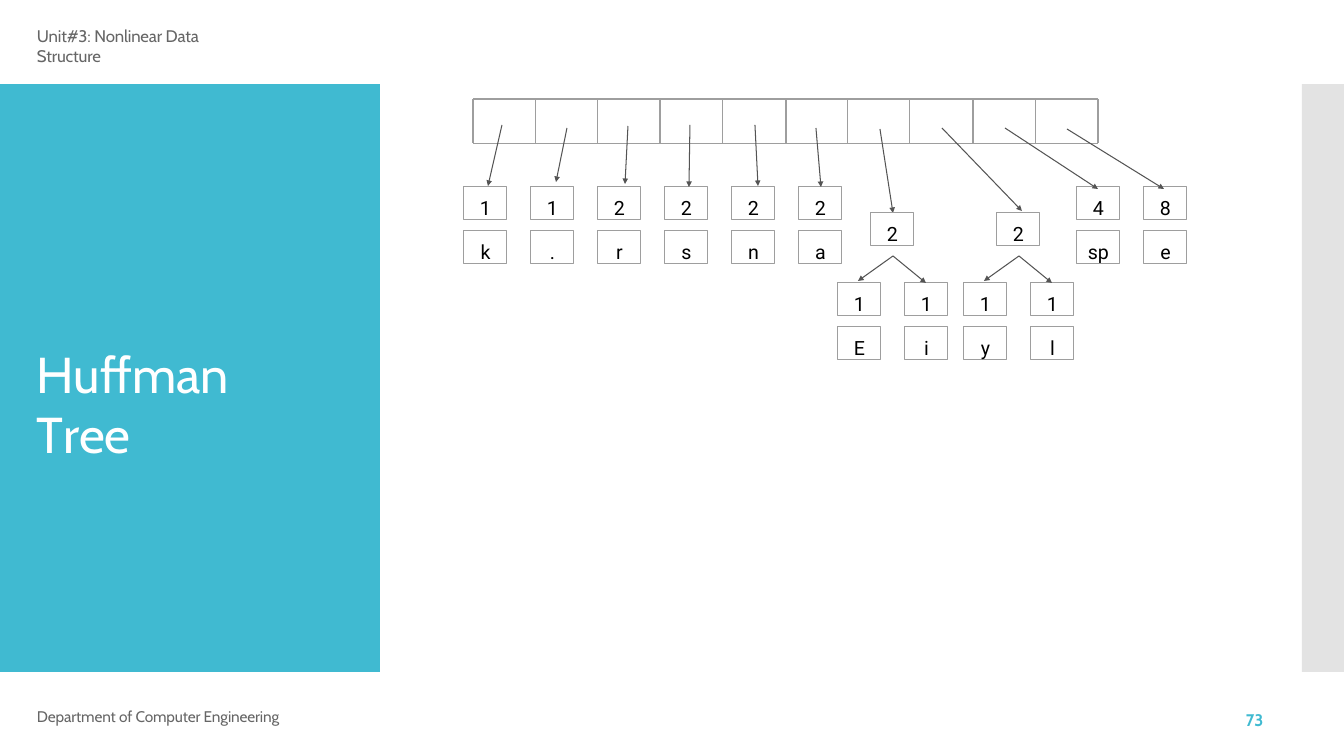
"""Build the Huffman tree slide: an array of cells pointing at character nodes."""
from dataclasses import dataclass

import lxml.etree
import pptx
import pptx.dml.color
import pptx.enum.shapes
import pptx.enum.text
import pptx.oxml
import pptx.oxml.ns
import pptx.util

EMU_PER_PX = 914400 / 100.8


@dataclass(frozen=True)
class Theme:
    teal: str = "40BAD1"
    strip: str = "C8C8C8"
    white: str = "FFFFFF"
    black: str = "000000"
    muted: str = "666666"
    outline: str = "9E9E9E"
    arrow: str = "545454"
    heading_font: str = "Cabin"
    node_font: str = "Roboto"
    title_size: int = 36
    node_size: int = 14
    header_size: int = 12
    footer_size: int = 11
    line_width: float = 0.75


@dataclass(frozen=True)
class Area:
    left: int
    top: int
    width: int
    height: int


@dataclass(frozen=True)
class Leaf:
    left: int
    top: int
    count: str
    letter: str


@dataclass(frozen=True)
class Subtree:
    left: int
    letters: str


@dataclass(frozen=True)
class Arrow:
    start: tuple[int, int]
    end: tuple[int, int]


THEME = Theme()
NODE_WIDTH, NODE_HEIGHT, LETTER_DROP = 43, 33, 44
LEAF_TOP, PARENT_TOP, CHILD_TOP = 187, 213, 283
CELL_COUNT = 10
ARRAY = Area(473, 99, 625, 44)

LEAVES = [
    Leaf(464 + 67 * index, LEAF_TOP, count, letter)
    for index, (count, letter) in enumerate(zip("112222", "k.rsna"))
] + [Leaf(1077, LEAF_TOP, "4", "sp"), Leaf(1144, LEAF_TOP, "8", "e")]
SUBTREES = [Subtree(871, "Ei"), Subtree(997, "yl")]
ARRAY_ARROWS = [
    Arrow((502, 125), (488, 186)),
    Arrow((567, 128), (556, 182)),
    Arrow((628, 126), (625, 184)),
    Arrow((690, 125), (689, 187)),
    Arrow((755, 125), (758, 186)),
    Arrow((816, 128), (821, 187)),
    Arrow((880, 129), (893, 213)),
    Arrow((942, 128), (1022, 211)),
    Arrow((1005, 128), (1098, 189)),
    Arrow((1067, 129), (1164, 189)),
]


def px(length: float) -> pptx.util.Emu:
    return pptx.util.Emu(round(length * EMU_PER_PX))


def rgb(color: str) -> pptx.dml.color.RGBColor:
    return pptx.dml.color.RGBColor.from_string(color)


def placed(area: Area) -> tuple:
    return px(area.left), px(area.top), px(area.width), px(area.height)


def write_text(box, text: str | list[tuple[str, float]], *, font: str, size: int,
               color: str, bold: bool = False, tracking: float = 0, inset: int = 0,
               line_points: float | None = None, centered: bool = False) -> None:
    frame = box.text_frame
    frame.word_wrap = True
    frame.vertical_anchor = pptx.enum.text.MSO_ANCHOR.TOP
    frame.margin_left = frame.margin_right = frame.margin_bottom = 0
    frame.margin_top = px(inset)
    para = frame.paragraphs[0]
    align = pptx.enum.text.PP_ALIGN
    para.alignment = align.CENTER if centered else align.LEFT
    if line_points:
        para.line_spacing = pptx.util.Pt(line_points)
    for words, spacing in [(text, tracking)] if isinstance(text, str) else text:
        span = para.add_run()
        span.text = words
        span.font.name = font
        span.font.size = pptx.util.Pt(size)
        span.font.bold = bold
        span.font.color.rgb = rgb(color)
        if spacing:
            span.font._element.set("spc", str(round(spacing * 100)))


def add_label(page, area: Area, text: str | list[tuple[str, float]], **style) -> None:
    write_text(page.shapes.add_textbox(*placed(area)), text,
               font=THEME.heading_font, **style)


def add_rectangle(page, area: Area):
    box = page.shapes.add_shape(pptx.enum.shapes.MSO_SHAPE.RECTANGLE, *placed(area))
    box.shadow.inherit = False
    return box


def add_panel(page, area: Area, color: str, opacity: int = 100) -> None:
    panel = add_rectangle(page, area)
    panel.line.fill.background()
    panel.fill.solid()
    panel.fill.fore_color.rgb = rgb(color)
    if opacity < 100:
        shade = panel._element.spPr.find(".//" + pptx.oxml.ns.qn("a:srgbClr"))
        lxml.etree.SubElement(shade, pptx.oxml.ns.qn("a:alpha"), val=str(opacity * 1000))


def style_line(shape, color: str) -> None:
    shape.line.color.rgb = rgb(color)
    shape.line.width = pptx.util.Pt(THEME.line_width)


def add_array(page, area: Area) -> None:
    right, bottom = area.left + area.width, area.top + area.height
    builder = page.shapes.build_freeform(area.left, area.top, scale=EMU_PER_PX)
    builder.add_line_segments([(right, area.top)], close=False)
    builder.move_to(area.left, bottom)
    builder.add_line_segments([(right, bottom)], close=False)
    for index in range(CELL_COUNT + 1):
        edge = area.left + area.width * index / CELL_COUNT
        builder.move_to(edge, area.top)
        builder.add_line_segments([(edge, bottom)], close=False)
    grid = builder.convert_to_shape()
    grid.shadow.inherit = False
    grid.fill.background()
    style_line(grid, THEME.outline)


def add_node(page, left: int, top: int, text: str) -> None:
    node = add_rectangle(page, Area(left, top, NODE_WIDTH, NODE_HEIGHT))
    node.fill.background()
    style_line(node, THEME.outline)
    write_text(node, text, font=THEME.node_font, size=THEME.node_size,
               color=THEME.black, inset=9, centered=True)


def add_leaf(page, leaf: Leaf) -> None:
    add_node(page, leaf.left, leaf.top, leaf.count)
    add_node(page, leaf.left, leaf.top + LETTER_DROP, leaf.letter)


def add_arrow(page, arrow: Arrow) -> None:
    line = page.shapes.add_connector(
        pptx.enum.shapes.MSO_CONNECTOR.STRAIGHT,
        *map(px, arrow.start + arrow.end))
    style_line(line, THEME.arrow)
    lxml.etree.SubElement(line.line._get_or_add_ln(), pptx.oxml.ns.qn("a:tailEnd"),
                          type="triangle", w="sm", len="sm")
    lxml.etree.SubElement(line._element.spPr, pptx.oxml.ns.qn("a:effectLst"))


def add_subtree(page, tree: Subtree) -> None:
    add_node(page, tree.left, PARENT_TOP, "2")
    for shift, letter in zip((-33, 34), tree.letters):
        add_leaf(page, Leaf(tree.left + shift, CHILD_TOP, "1", letter))
    add_arrow(page, Arrow((tree.left + 22, 256), (tree.left - 13, 281)))
    add_arrow(page, Arrow((tree.left + 22, 256), (tree.left + 55, 283)))


def main() -> None:
    deck = pptx.Presentation()
    deck.slide_width, deck.slide_height = px(1344), px(756)
    page = deck.slides.add_slide(deck.slide_layouts[6])
    add_panel(page, Area(0, 84, 380, 588), THEME.teal)
    add_panel(page, Area(1302, 84, 42, 588), THEME.strip, opacity=50)
    add_label(page, Area(37, 25, 225, 42), "Unit#3: Nonlinear Data Structure",
              size=THEME.header_size, color=THEME.muted, tracking=-0.1, inset=1)
    add_label(page, Area(37, 342, 284, 124),
              [("Hu", -0.1), ("ff", -0.7), ("ma", -0.1), ("n ", 0), ("T", -2.3), ("ree", -0.1)],
              size=THEME.title_size, color=THEME.white, inset=1)
    add_array(page, ARRAY)
    for leaf in LEAVES:
        add_leaf(page, leaf)
    for arrow in ARRAY_ARROWS:
        add_arrow(page, arrow)
    for tree in SUBTREES:
        add_subtree(page, tree)
    add_label(page, Area(37, 710, 260, 18), "Department of Computer Engineering",
              size=THEME.footer_size, color=THEME.muted, tracking=-0.1, line_points=11.4)
    add_label(page, Area(1246, 713, 27, 19), "73", size=THEME.header_size,
              color=THEME.teal, bold=True, line_points=12.3)
    deck.save("out.pptx")


if __name__ == "__main__":
    main()
